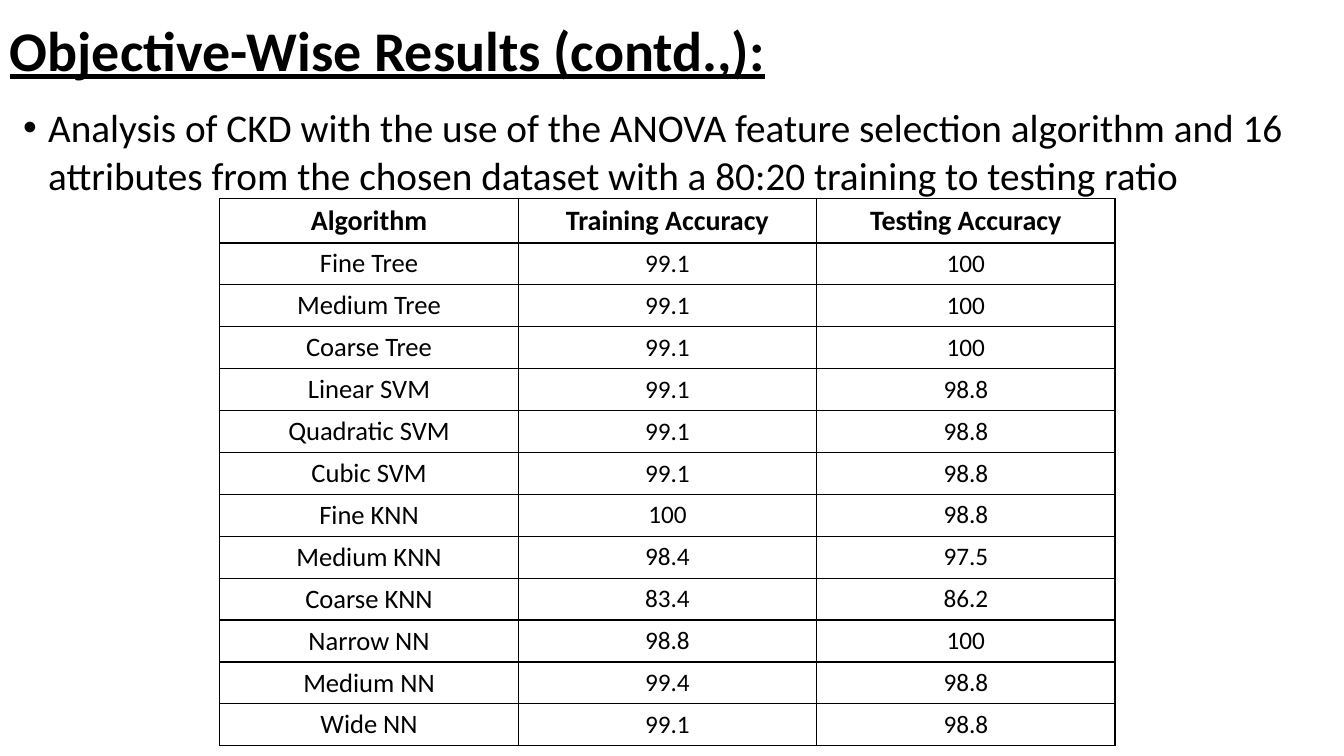
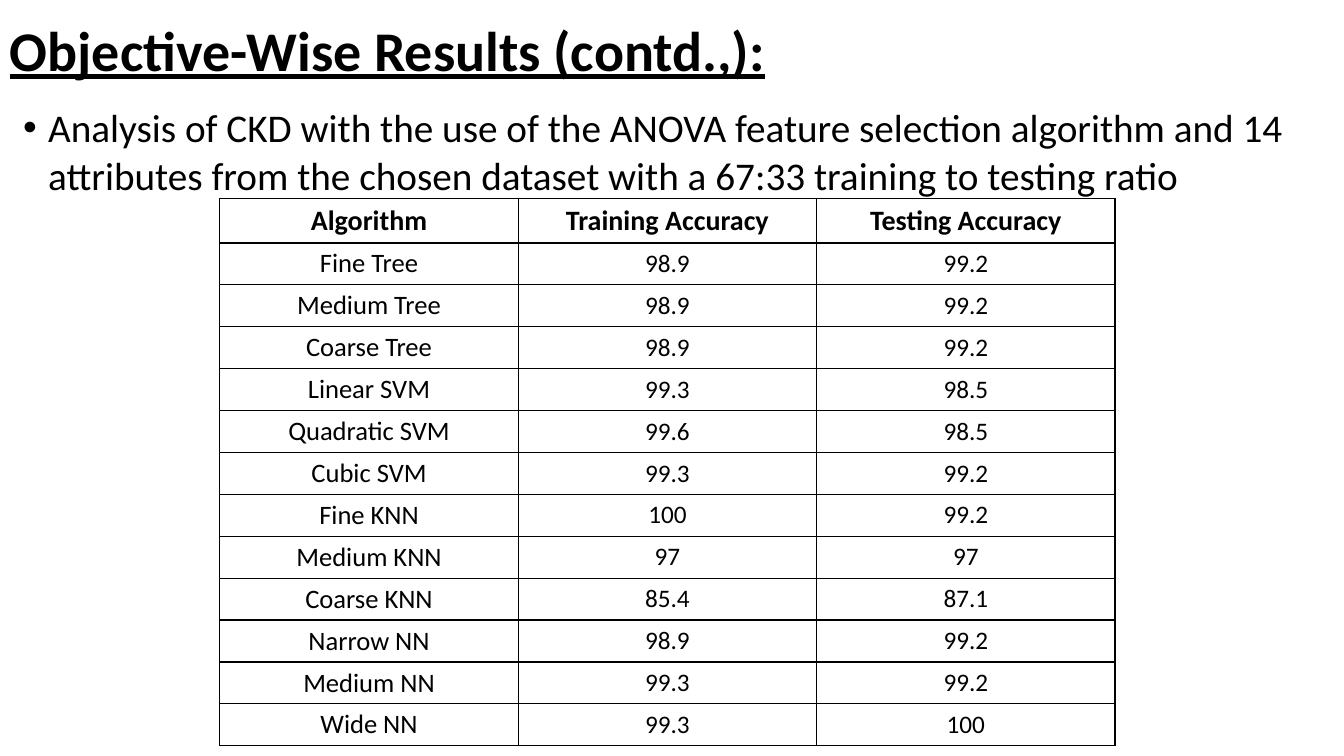
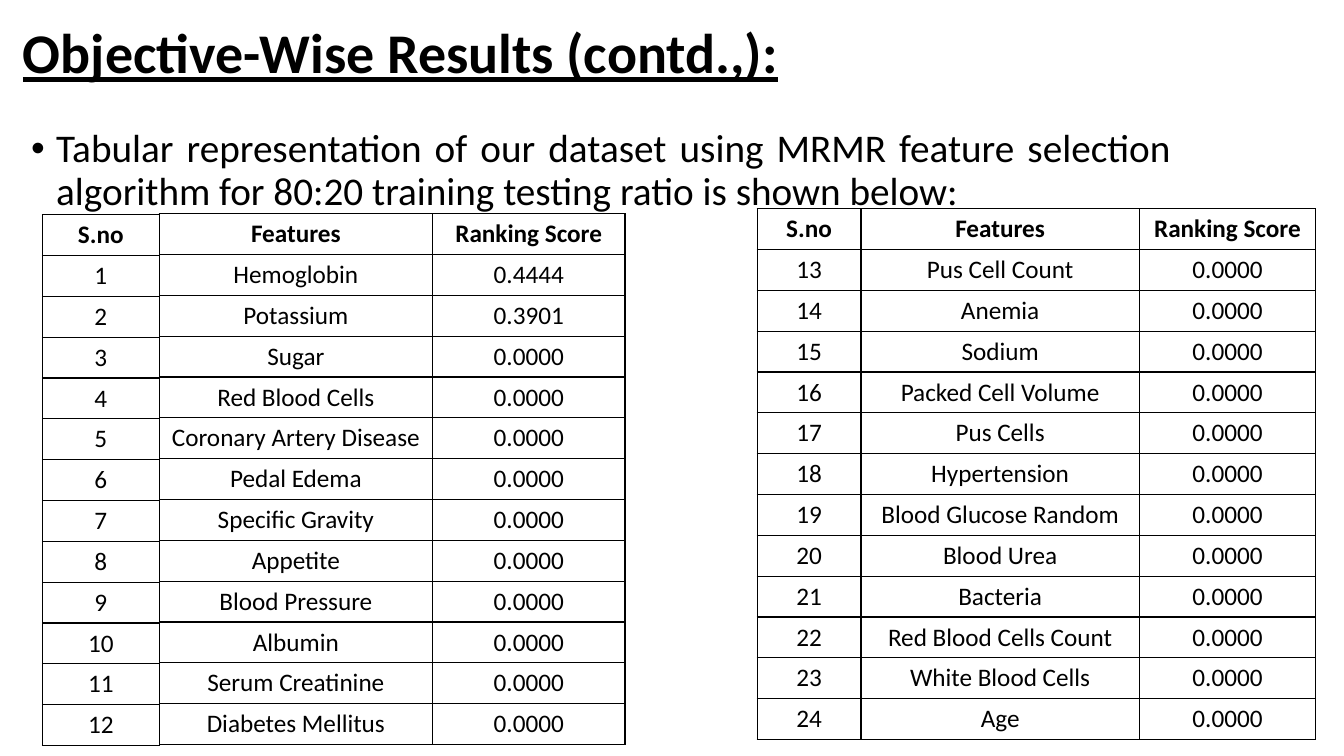
from dataclasses import dataclass
from typing import Optional

from lxml.etree import SubElement
from pptx import Presentation
from pptx.dml.color import RGBColor
from pptx.enum.text import MSO_ANCHOR as Anchor, PP_ALIGN as Align
from pptx.oxml.ns import qn
from pptx.slide import Slide
from pptx.util import Inches, Pt

BLACK = RGBColor(0x00, 0x00, 0x00)
WHITE = RGBColor(0xFF, 0xFF, 0xFF)
FONT = "Calibri"
TITLE = "Objective-Wise Results (contd.,):"
BORDER = Pt(1)
BULLET_INDENT = Inches(0.25)

ALGORITHMS = [
    "Fine Tree", "Medium Tree", "Coarse Tree", "Linear SVM", "Quadratic SVM", "Cubic SVM",
    "Fine KNN", "Medium KNN", "Coarse KNN", "Narrow NN", "Medium NN", "Wide NN",
]
FEATURES = [
    "Hemoglobin", "Potassium", "Sugar", "Red Blood Cells", "Coronary Artery Disease",
    "Pedal Edema", "Specific Gravity", "Appetite", "Blood Pressure", "Albumin",
    "Serum Creatinine", "Diabetes Mellitus", "Pus Cell Count", "Anemia", "Sodium",
    "Packed Cell Volume", "Pus Cells", "Hypertension", "Blood Glucose Random", "Blood Urea",
    "Bacteria", "Red Blood Cells Count", "White Blood Cells", "Age",
]
TOP_SCORES = {"Hemoglobin": "0.4444", "Potassium": "0.3901"}
FEATURES_PER_TABLE = 12


@dataclass(frozen=True)
class Area:
    left: float
    top: float
    width: float
    height: float

    def lengths(self) -> list[Inches]:
        return [Inches(side) for side in (self.left, self.top, self.width, self.height)]


@dataclass(frozen=True)
class TableStyle:
    header_size: float
    name_size: float
    value_size: float
    header_height: float
    row_height: float
    cell_margin: float


@dataclass(frozen=True)
class AccuracyPage:
    attributes: int
    ratio: str
    training: list[str]
    testing: list[str]


ACCURACY_STYLE = TableStyle(20, 19, 18, 0.44, 4.99 / 12, 0.04)
RANKING_STYLE = TableStyle(18, 18, 18, 5.27 / 13, 5.27 / 13, 0.05)

ACCURACY_PAGES = [
    AccuracyPage(
        16, "80:20",
        "99.1 99.1 99.1 99.1 99.1 99.1 100 98.4 83.4 98.8 99.4 99.1".split(),
        "100 100 100 98.8 98.8 98.8 98.8 97.5 86.2 100 98.8 98.8".split(),
    ),
    AccuracyPage(
        14, "67:33",
        "98.9 98.9 98.9 99.3 99.6 99.3 100 97 85.4 98.9 99.3 99.3".split(),
        "99.2 99.2 99.2 98.5 98.5 99.2 99.2 97 87.1 99.2 99.2 100".split(),
    ),
]


def add_text(page: Slide, area: Area, text: str, *, size: float, bold: bool = False,
             underline: bool = False, bullet: bool = False, anchor: Anchor = Anchor.TOP,
             align: Align = Align.LEFT, line_spacing: Optional[float] = None) -> None:
    frame = page.shapes.add_textbox(*area.lengths()).text_frame
    frame.word_wrap = True
    frame.vertical_anchor = anchor
    para = frame.paragraphs[0]
    para.alignment = align
    if line_spacing:
        para.line_spacing = line_spacing
    if bullet:
        properties = para._p.get_or_add_pPr()
        properties.set("marL", str(BULLET_INDENT))
        properties.set("indent", str(-BULLET_INDENT))
        SubElement(properties, qn("a:buFont"), typeface="Arial")
        SubElement(properties, qn("a:buChar"), char="•")
    span = para.add_run()
    span.text = text
    span.font.name = FONT
    span.font.size = Pt(size)
    span.font.bold = bold
    span.font.underline = underline
    span.font.color.rgb = BLACK


def add_borders(cell) -> None:
    """Put the four border lines ahead of the fill, as the schema requires."""
    properties = cell._tc.get_or_add_tcPr()
    for position, side in enumerate(("lnL", "lnR", "lnT", "lnB")):
        line = SubElement(properties, qn(f"a:{side}"), w=str(BORDER))
        fill = SubElement(line, qn("a:solidFill"))
        SubElement(fill, qn("a:srgbClr"), val=str(BLACK))
        properties.insert(position, line)


def add_grid(page: Slide, left: float, top: float, widths: list[float],
             rows: list[tuple[str, ...]], style: TableStyle) -> None:
    heights = [style.header_height] + [style.row_height] * (len(rows) - 1)
    area = Area(left, top, sum(widths), sum(heights))
    table = page.shapes.add_table(len(rows), len(widths), *area.lengths()).table
    table.first_row = table.horz_banding = False
    for column, width in zip(table.columns, widths):
        column.width = Inches(width)
    for row_index, (texts, height) in enumerate(zip(rows, heights)):
        table.rows[row_index].height = Inches(height)
        for column_index, text in enumerate(texts):
            cell = table.cell(row_index, column_index)
            cell.fill.solid()
            cell.fill.fore_color.rgb = WHITE
            cell.margin_top = cell.margin_bottom = Inches(style.cell_margin)
            cell.vertical_anchor = Anchor.MIDDLE
            add_borders(cell)
            cell.text = text
            para = cell.text_frame.paragraphs[0]
            para.alignment = Align.CENTER
            font = para.runs[0].font
            font.name = FONT
            font.color.rgb = BLACK
            font.bold = row_index == 0
            if row_index == 0:
                font.size = Pt(style.header_size)
            else:
                font.size = Pt(style.value_size if column_index else style.name_size)


def add_page(deck, title_area: Area) -> Slide:
    page = deck.slides.add_slide(deck.slide_layouts[6])
    add_text(page, title_area, TITLE, size=40, bold=True, underline=True,
             anchor=Anchor.MIDDLE, line_spacing=0.9)
    return page


def add_accuracy_page(deck, results: AccuracyPage) -> None:
    page = add_page(deck, Area(0, -0.2, 11.5, 1.45))
    text = (f"Analysis of CKD with the use of the ANOVA feature selection algorithm and "
            f"{results.attributes} attributes from the chosen dataset with a "
            f"{results.ratio} training to testing ratio")
    add_text(page, Area(0.13, 0.98, 12.99, 1.05), text, size=28, bullet=True)
    rows = [("Algorithm", "Training Accuracy", "Testing Accuracy"),
            *zip(ALGORITHMS, results.training, results.testing)]
    add_grid(page, 2.18, 1.97, [2.96] * 3, rows, ACCURACY_STYLE)


def add_ranking_page(deck) -> None:
    page = add_page(deck, Area(0.13, 0.11, 11.5, 0.88))
    add_text(page, Area(0.21, 1.23, 11.5, 0.95),
             "Tabular representation of our dataset using MRMR feature selection algorithm "
             "for 80:20 training testing ratio is shown below:",
             size=28, bullet=True, align=Align.JUSTIFY, line_spacing=0.9)
    header = ("S.no", "Features", "Ranking Score")
    ranking = [(str(number), feature, TOP_SCORES.get(feature, "0.0000"))
               for number, feature in enumerate(FEATURES, start=1)]
    first = [header, *ranking[:FEATURES_PER_TABLE]]
    second = [header, *ranking[FEATURES_PER_TABLE:]]
    add_grid(page, 1.58, 2.12, [2.71, 1.91], [row[1:] for row in first], RANKING_STYLE)
    add_grid(page, 0.42, 2.13, [1.16], [row[:1] for row in first], RANKING_STYLE)
    add_grid(page, 7.51, 2.07, [1.03, 2.76, 1.75], second, RANKING_STYLE)


def main() -> None:
    deck = Presentation()
    deck.slide_width = Inches(13.33)
    deck.slide_height = Inches(7.5)
    for results in ACCURACY_PAGES:
        add_accuracy_page(deck, results)
    add_ranking_page(deck)
    deck.save("out.pptx")


if __name__ == "__main__":
    main()
